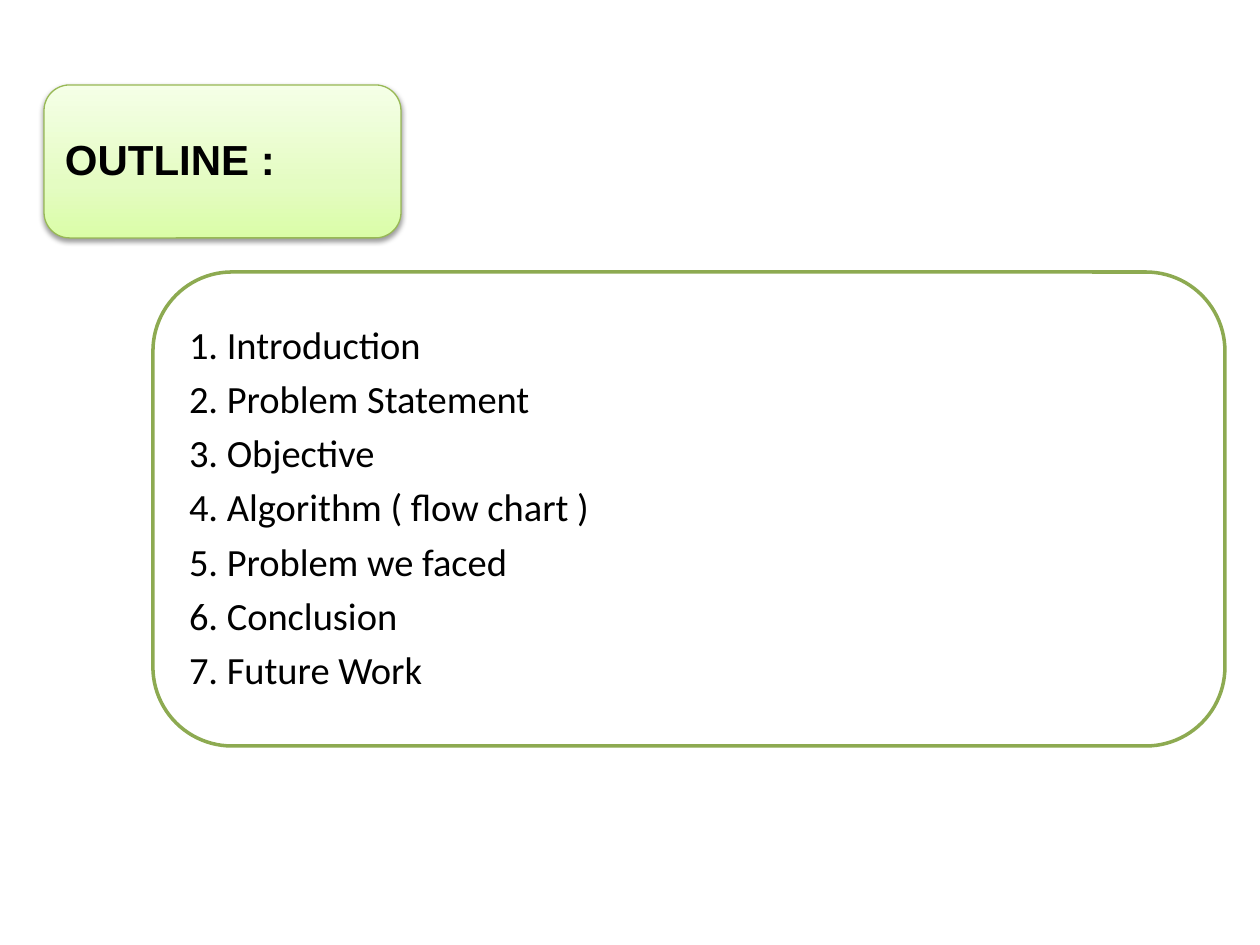
from lxml import etree
from pptx import Presentation
from pptx.dml.color import RGBColor
from pptx.enum.shapes import MSO_SHAPE
from pptx.enum.text import MSO_ANCHOR
from pptx.oxml.ns import qn
from pptx.util import Emu, Pt

ROUNDED = MSO_SHAPE.ROUNDED_RECTANGLE
MIDDLE = MSO_ANCHOR.MIDDLE
PX_PER_INCH = 126
TOPICS = [
    "Introduction",
    "Problem Statement",
    "Objective",
    "Algorithm ( flow chart )",
    "Problem we faced",
    "Conclusion",
    "Future Work",
]


def px(length):
    return Emu(round(length * 914400 / PX_PER_INCH))


def color(value):
    return RGBColor.from_string(value)


def add_color(parent, value):
    return etree.SubElement(parent, qn("a:srgbClr"), val=value)


class OutlineSlide:
    """Holds the style and the current slide, and draws its elements."""

    ink = "000000"
    paper = "FFFFFF"
    line_spacing = 0.9
    space_after = 0.33

    def __init__(self, page):
        self.page = page

    def panel(self, left, top, width, height, line, line_width):
        box = self.page.shapes.add_shape(
            ROUNDED, px(left), px(top), px(width), px(height))
        box.shadow.inherit = False
        box.fill.solid()
        box.fill.fore_color.rgb = color(self.paper)
        box.line.color.rgb = color(line)
        box.line.width = Pt(line_width)
        return box

    def gradient(self, box, stops):
        box.fill.gradient()
        box.fill.gradient_angle = 90
        stop_list = box._element.spPr.find(qn("a:gradFill")).find(qn("a:gsLst"))
        for stop in list(stop_list):
            stop_list.remove(stop)
        for percent, value in stops:
            stop = etree.SubElement(
                stop_list, qn("a:gs"), pos=str(percent * 1000))
            add_color(stop, value)

    def shadow(self, box, blur, distance, opacity):
        effects = box._element.spPr.find(qn("a:effectLst"))
        outer = etree.SubElement(
            effects, qn("a:outerShdw"), blurRad=str(Pt(blur)),
            dist=str(Pt(distance)), dir="5400000", rotWithShape="0")
        etree.SubElement(
            add_color(outer, self.ink), qn("a:alpha"), val=str(opacity * 1000))

    def text(self, left, top, width, height, lines, font, size, inset, bold=False):
        box = self.page.shapes.add_textbox(
            px(left), px(top), px(width), px(height))
        frame = box.text_frame
        frame.word_wrap = True
        frame.vertical_anchor = MIDDLE
        frame.margin_left = frame.margin_right = px(inset)
        frame.margin_top = frame.margin_bottom = px(inset)
        for index, line in enumerate(lines):
            para = frame.add_paragraph() if index else frame.paragraphs[0]
            para.line_spacing = self.line_spacing
            para.space_after = Pt(round(size * self.space_after, 2))
            span = para.add_run()
            span.text = line
            span.font.name = font
            span.font.size = Pt(size)
            span.font.bold = bold
            span.font.color.rgb = color(self.ink)


def main():
    deck = Presentation()
    deck.slide_width = px(10 * PX_PER_INCH)
    deck.slide_height = px(945)
    slide = OutlineSlide(deck.slides.add_slide(deck.slide_layouts[6]))

    heading = slide.panel(44, 85, 357, 153, "98B955", 0.75)
    slide.gradient(heading, [(0, "DAFDA7"), (35, "E4FCC2"), (100, "F5FFE7")])
    slide.shadow(heading, 3.1, 1.6, 38)
    slide.text(52, 93, 342, 138, ["OUTLINE :"], "Arial", 24, 13, bold=True)

    slide.panel(153, 272, 1072, 474, "8DAA51", 2)
    topics = [f"{number}. {topic}" for number, topic in enumerate(TOPICS, 1)]
    slide.text(177, 296, 1024, 427, topics, "Calibri", 22, 12)

    deck.save("out.pptx")


if __name__ == "__main__":
    main()
